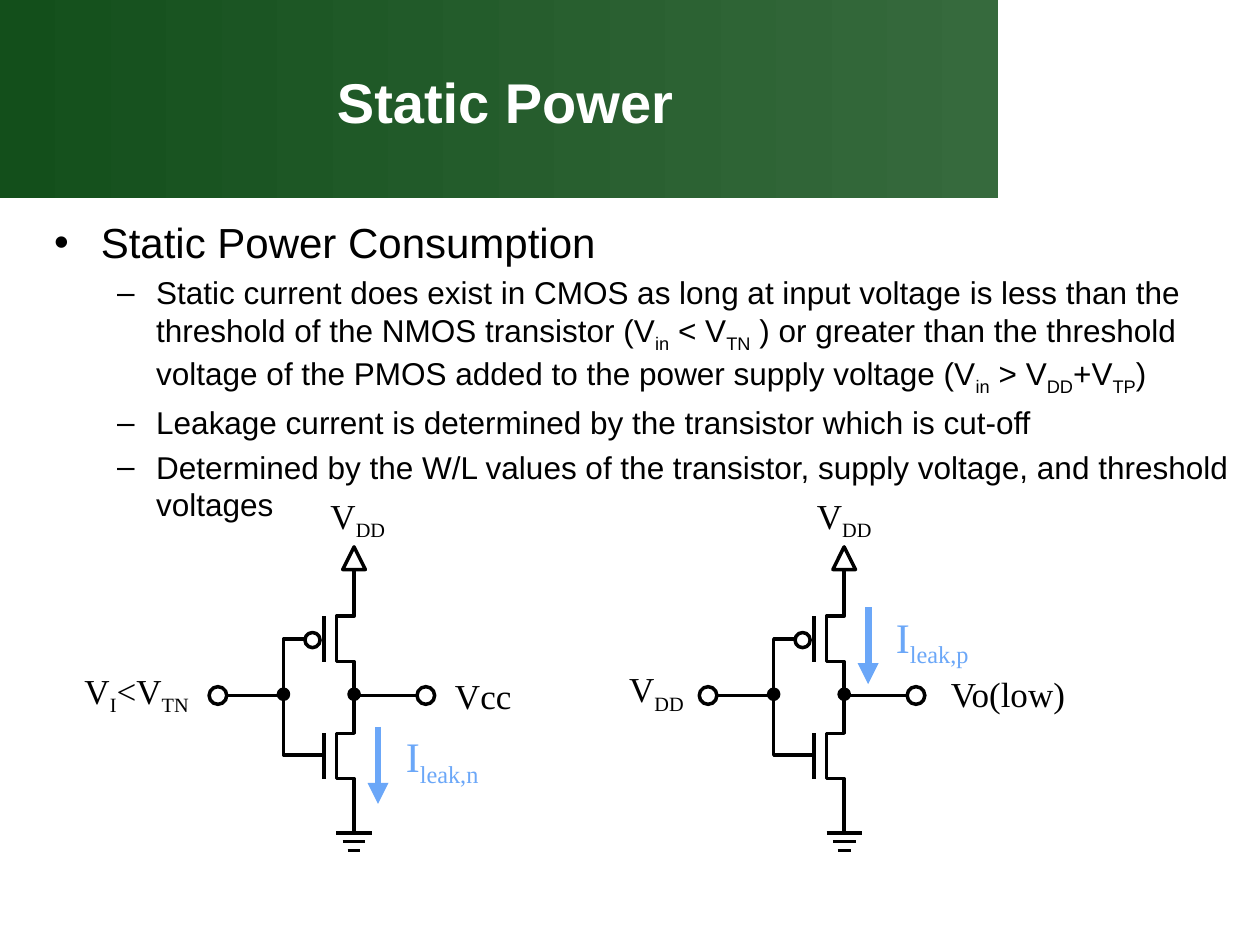
"""Build the Static Power slide with its two CMOS inverter circuits."""
from lxml import etree
from pptx import Presentation
from pptx.dml.color import RGBColor
from pptx.enum.shapes import MSO_CONNECTOR, MSO_SHAPE
from pptx.enum.text import MSO_ANCHOR, MSO_AUTO_SIZE, PP_ALIGN
from pptx.oxml.ns import qn
from pptx.util import Inches, Pt

STRAIGHT = MSO_CONNECTOR.STRAIGHT
RECT, OVAL, TRIANGLE = MSO_SHAPE.RECTANGLE, MSO_SHAPE.OVAL, MSO_SHAPE.ISOSCELES_TRIANGLE
CENTER, MIDDLE, TOP = PP_ALIGN.CENTER, MSO_ANCHOR.MIDDLE, MSO_ANCHOR.TOP
NO_AUTOFIT = MSO_AUTO_SIZE.NONE
COLORS = {"green": "134F1B", "pale_green": "366A3D", "white": "FFFFFF",
          "black": "000000", "blue": "6BA7F8"}
BULLETS = [
    (0, "Static Power Consumption"),
    (1, "Static current does exist in CMOS as long at input voltage is less than the "
        "threshold of the NMOS transistor (V~in~ < V~TN~ ) or greater than the threshold "
        "voltage of the PMOS added to the power supply voltage (V~in~ > V~DD~+V~TP~)"),
    (1, "Leakage current is determined by the transistor which is cut-off"),
    (1, "Determined by the W/L values of the transistor, supply voltage, "
        "and threshold voltages"),
]
LEVELS = [(24, "•", 0.37, -0.37), (18, "–", 0.81, -0.31)]


class SlideBuilder:
    """Holds the style and the current slide."""

    def __init__(self, slide):
        self.s = slide
        self.sans, self.serif = "Arial", "Times New Roman"
        self.line_width = 2

    def color(self, name):
        return RGBColor.from_string(COLORS[name])

    def add_runs(self, p, text, size, font, color, bold=False):
        for i, part in enumerate(text.split("~")):
            if not part:
                continue
            r = p.add_run()
            r.text = part
            r.font.size, r.font.name, r.font.bold = Pt(size), font, bold
            r.font.color.rgb = self.color(color)
            if i % 2:
                r._r.get_or_add_rPr().set("baseline", "-25000")

    def place(self, sp, x, y, w, h):
        sp.left, sp.top, sp.width, sp.height = map(Inches, (x, y, w, h))

    def banner(self, x, y, w, h):
        sp = self.s.shapes.add_shape(RECT, *map(Inches, (x, y, w, h)))
        sp.shadow.inherit = False
        sp.line.fill.background()
        sp.fill.gradient()
        sp.fill.gradient_angle = 0
        for stop, name in zip(sp.fill.gradient_stops, ("green", "pale_green")):
            stop.color.rgb = self.color(name)
        self.s.shapes.title._element.addprevious(sp._element)

    def title(self, text, *box):
        sp = self.s.shapes.title
        self.place(sp, *box)
        tf = sp.text_frame
        tf.vertical_anchor = MIDDLE
        tf.paragraphs[0].alignment = CENTER
        self.add_runs(tf.paragraphs[0], text, 32, self.sans, "white", True)

    def body(self, items, *box):
        sp = self.s.placeholders[1]
        self.place(sp, *box)
        tf = sp.text_frame
        tf.auto_size, tf.vertical_anchor = NO_AUTOFIT, TOP
        for i, (level, text) in enumerate(items):
            p = tf.add_paragraph() if i else tf.paragraphs[0]
            p.level = level
            size, bullet, margin, indent = LEVELS[level]
            pPr = p._p.get_or_add_pPr()
            pPr.set("marL", str(Inches(margin)))
            pPr.set("indent", str(Inches(indent)))
            etree.SubElement(pPr, qn("a:buChar")).set("char", bullet)
            self.add_runs(p, text, size, self.sans, "black")

    def label(self, text, x, y, w, h=0.42, size=20, color="black", anchor=MIDDLE):
        sp = self.s.shapes.add_textbox(*map(Inches, (x, y, w, h)))
        tf = sp.text_frame
        tf.word_wrap, tf.vertical_anchor = False, anchor
        tf.paragraphs[0].alignment = CENTER
        self.add_runs(tf.paragraphs[0], text, size, self.serif, color)

    def wire(self, x1, y1, x2, y2, color="black", width=None):
        c = self.s.shapes.add_connector(STRAIGHT, *map(Inches, (x1, y1, x2, y2)))
        c.line.color.rgb = self.color(color)
        c.line.width = Pt(width or self.line_width)
        etree.SubElement(c._element.spPr, qn("a:effectLst"))
        return c

    def arrow(self, x, y1, y2):
        c = self.wire(x, y1, x, y2, "blue", 4)
        ln = c._element.spPr.find(qn("a:ln"))
        etree.SubElement(ln, qn("a:tailEnd")).set("type", "triangle")

    def outlined(self, sp):
        sp.shadow.inherit = False
        sp.line.color.rgb = self.color("black")
        sp.line.width = Pt(self.line_width)

    def symbol(self, kind, x, y, size, fill="white"):
        sp = self.s.shapes.add_shape(kind, *map(Inches, (x, y, size, size)))
        sp.fill.solid()
        sp.fill.fore_color.rgb = self.color(fill)
        self.outlined(sp)

    def polyline(self, points):
        points = [(Inches(x), Inches(y)) for x, y in points]
        fb = self.s.shapes.build_freeform(*points[0])
        fb.add_line_segments(points[1:], close=False)
        sp = fb.convert_to_shape()
        sp.fill.background()
        self.outlined(sp)

    def transistor(self, x, y):
        channel, top, bottom = x - 0.14, y + 0.2, y + 0.56
        self.polyline([(x, y), (x, top), (channel, top), (channel, bottom),
                       (x, bottom), (x, y + 0.77)])
        self.wire(x - 0.24, top, x - 0.24, bottom)

    def inverter(self, x):
        gate = x - 0.56
        self.transistor(x, 4.69)
        self.transistor(x, 5.62)
        self.polyline([(x - 0.25, 5.99), (gate, 5.99), (gate, 5.07), (x - 0.4, 5.07)])
        for y1, y2 in ((4.5, 4.74), (5.35, 5.7), (6.31, 6.63)):
            self.wire(x, y1, x, y2)
        for y, half in ((6.61, 0.14), (6.68, 0.09), (6.75, 0.05)):
            self.wire(x - half, y, x + half, y)
        self.wire(gate, 5.52, x - 1.03, 5.52)
        self.wire(x, 5.52, x + 0.52, 5.52)
        self.symbol(TRIANGLE, x - 0.09, 4.34, 0.18)
        self.symbol(OVAL, x - 0.39, 5.02, 0.12)
        for left in (x - 1.15, x + 0.5):
            self.symbol(OVAL, left, 5.45, 0.14)
        for center in (gate, x):
            self.symbol(OVAL, center - 0.04, 5.47, 0.08, "black")

    def leakage(self, text, x, y):
        self.arrow(x + 0.19, y, y + 0.61)
        self.label(text, x + 0.27, y - 0.02, 0.86, 0.49, 24, "blue", TOP)


def main():
    prs = Presentation()
    prs.slide_width, prs.slide_height = Inches(10), Inches(7.5)
    b = SlideBuilder(prs.slides.add_slide(prs.slide_layouts[1]))
    b.banner(0, 0, 7.92, 1.57)
    b.title("Static Power", 0.27, 0.3, 7.48, 1.01)
    b.body(BULLETS, 0.33, 1.67, 9.67, 5)
    left, right = 2.81, 6.7
    for x in (left, right):
        b.inverter(x)
    b.leakage("I~leak,n~", left, 5.77)
    b.leakage("I~leak,p~", right, 4.82)
    b.label("V~DD~", 2.5, 3.9, 0.68)
    b.label("V~DD~", 6.36, 3.9, 0.68)
    b.label("V~I~<V~TN~", 0.55, 5.29, 1.07)
    b.label("V~DD~", 4.87, 5.28, 0.68)
    b.label("Vcc", 3.51, 5.31, 0.65)
    b.label("Vo(low)", 7.43, 5.29, 1.14)
    prs.save("out.pptx")


if __name__ == "__main__":
    main()
